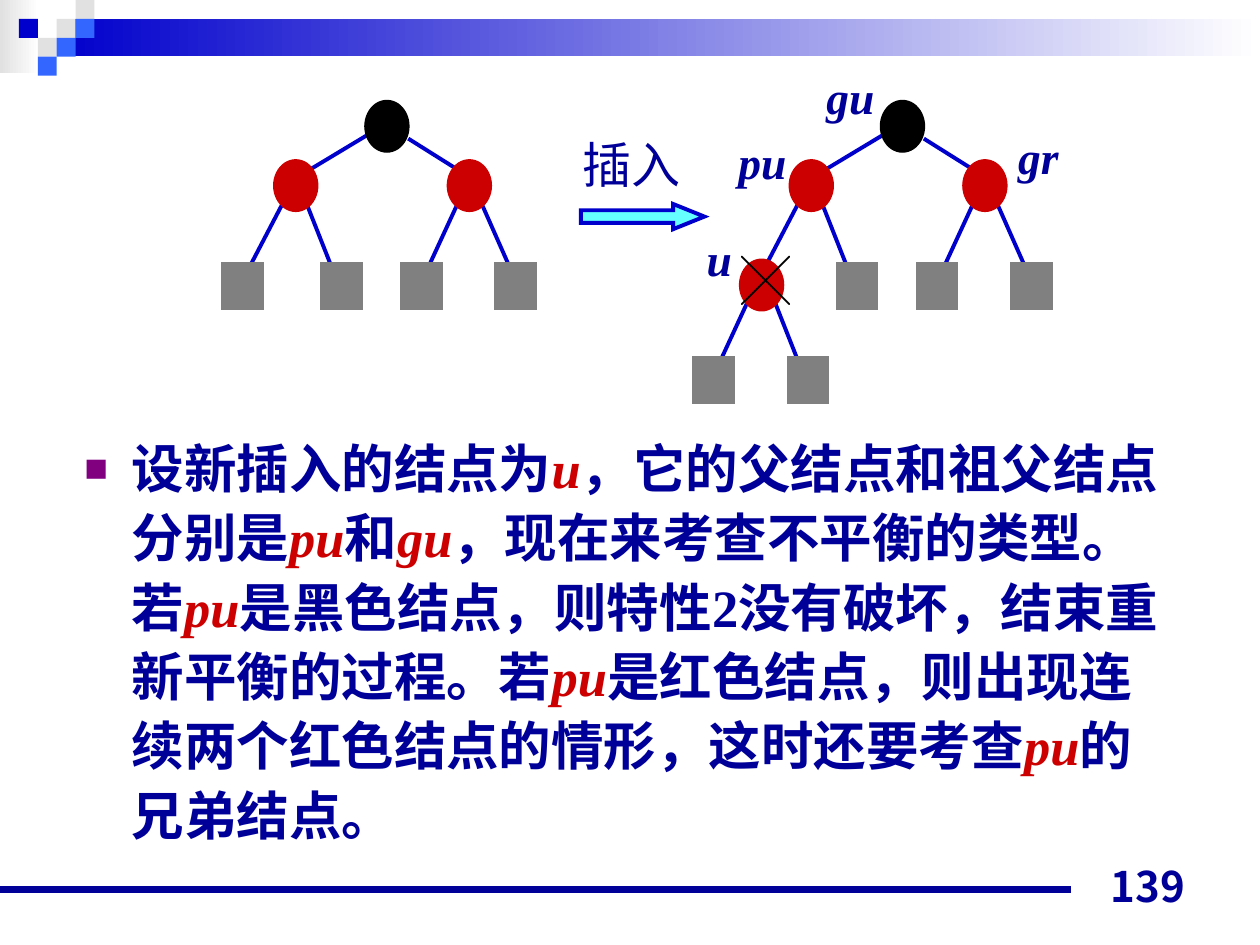
from dataclasses import dataclass
from itertools import cycle

from lxml.etree import SubElement
from pptx import Presentation
from pptx.dml.color import RGBColor
from pptx.enum.shapes import MSO_CONNECTOR, MSO_SHAPE
from pptx.enum.text import MSO_ANCHOR, MSO_AUTO_SIZE, PP_ALIGN
from pptx.oxml.ns import qn
from pptx.util import Pt


@dataclass(frozen=True)
class Theme:
    navy: str = "000099"
    blue: str = "0000CC"
    light_blue: str = "3366FF"
    pale: str = "E1E1E1"
    white: str = "FFFFFF"
    black: str = "000000"
    red: str = "CC0000"
    gray: str = "808080"
    cyan: str = "66FFFF"
    purple: str = "800080"
    serif: str = "Times New Roman"
    sans: str = "Arial"
    cjk: str = "Noto Sans CJK SC"
    number_font: str = "Noto Sans CJK JP"
    body_size: float = 30
    symbol_size: float = 28
    label_size: float = 26
    number_size: float = 24
    edge_width: float = 2.25


@dataclass(frozen=True)
class Node:
    left: float
    top: float
    color: str


@dataclass(frozen=True)
class Leaf:
    left: float
    top: float


@dataclass(frozen=True)
class Edge:
    x1: float
    y1: float
    x2: float
    y2: float


@dataclass(frozen=True)
class Label:
    text: str
    left: float
    top: float
    width: float
    height: float = 39


THEME = Theme()
TREE_SHIFT = 294.6
SQUARE = 10.8
NODE_SIZE = (25.2, 29.5)
LEAF_SIZE = (22.2, 25.2)

TREE_EDGES = [
    Edge(167, 105.8, 141.8, 154.1), Edge(169.9, 103, 190.1, 154.1),
    Edge(266.4, 105.8, 244.1, 154.1), Edge(269.3, 103, 292.3, 155),
    Edge(210.2, 77, 167, 103), Edge(233.3, 79.2, 266.4, 100),
]
TREE_NODES = [
    Node(208.5, 57.4, THEME.black),
    Node(156.4, 91.3, THEME.red), Node(255.6, 91.3, THEME.red),
]
TREE_LEAVES = [Leaf(left, 151) for left in (127.4, 184.1, 229.7, 283.7)]
INSERTED_EDGES = [Edge(433.4, 159.1, 411.1, 207.4), Edge(436.3, 156.2, 456.5, 207.4)]
INSERTED_NODES = [Node(422.6, 148.1, THEME.red)]
INSERTED_LEAVES = [Leaf(396.7, 204.7), Leaf(450.7, 204.7)]
NODE_LABELS = [
    Label("pu", 414.7, 72.9, 41.8), Label("gu", 465.1, 36, 41.8),
    Label("u", 396.7, 128.2, 28.8), Label("gr", 574.6, 70, 37.4),
]
# Node names stand between bars.
BODY_TEXT = (
    "设新插入的结点为|u|，它的父结点和祖父结点分别是|pu|和|gu|，现在来考查不平衡的类型。"
    "若|pu|是黑色结点，则特性2没有破坏，结束重新平衡的过程。若|pu|是红色结点，"
    "则出现连续两个红色结点的情形，这时还要考查|pu|的兄弟结点。"
)


def rgb(color: str) -> RGBColor:
    return RGBColor.from_string(color)


def add_box(slide, kind, left: float, top: float, width: float, height: float,
            fill: str, line: str | None = None, line_width: float = 0.75):
    shape = slide.shapes.add_shape(kind, Pt(left), Pt(top), Pt(width), Pt(height))
    shape.shadow.inherit = False
    shape.fill.solid()
    shape.fill.fore_color.rgb = rgb(fill)
    if line:
        shape.line.color.rgb = rgb(line)
        shape.line.width = Pt(line_width)
        SubElement(shape.line._get_or_add_ln(), qn("a:miter"), lim="800000")
    else:
        shape.line.fill.background()
    return shape


def add_fade(slide, left: float, top: float, width: float, height: float, color: str) -> None:
    """Rectangle fading from the colour on the left to white on the right."""
    shape = add_box(slide, MSO_SHAPE.RECTANGLE, left, top, width, height, color)
    shape.fill.gradient()
    shape.fill.gradient_angle = 0
    for stop, stop_color in zip(shape.fill.gradient_stops, (color, THEME.white)):
        stop.color.rgb = rgb(stop_color)


def add_edge(slide, edge: Edge, color: str = THEME.blue, width: float = THEME.edge_width) -> None:
    connector = slide.shapes.add_connector(
        MSO_CONNECTOR.STRAIGHT, Pt(edge.x1), Pt(edge.y1), Pt(edge.x2), Pt(edge.y2))
    connector.line.color.rgb = rgb(color)
    connector.line.width = Pt(width)
    SubElement(connector._element.spPr, qn("a:effectLst"))


def add_run(paragraph, text: str, *, size: float, font: str, color: str = THEME.navy,
            bold: bool = False, italic: bool = False, east_asian: str = THEME.cjk) -> None:
    run = paragraph.add_run()
    run.text = text
    run.font.size = Pt(size)
    run.font.name = font
    run.font.bold = bold
    run.font.italic = italic
    run.font.color.rgb = rgb(color)
    SubElement(run.font._element, qn("a:ea"), typeface=east_asian)


def add_label(slide, label: Label, *, align=PP_ALIGN.CENTER, anchor=MSO_ANCHOR.TOP,
              wrap: bool = False, **run_format) -> None:
    text_box = slide.shapes.add_textbox(
        Pt(label.left), Pt(label.top), Pt(label.width), Pt(label.height))
    frame = text_box.text_frame
    frame.word_wrap = wrap
    frame.auto_size = MSO_AUTO_SIZE.NONE if wrap else MSO_AUTO_SIZE.SHAPE_TO_FIT_TEXT
    frame.vertical_anchor = anchor
    frame.paragraphs[0].alignment = align
    add_run(frame.paragraphs[0], label.text, **run_format)


def add_tree(slide, edges: list[Edge], nodes: list[Node], leaves: list[Leaf],
             shift: float = 0) -> None:
    for edge in edges:
        add_edge(slide, Edge(edge.x1 + shift, edge.y1, edge.x2 + shift, edge.y2))
    for leaf in leaves:
        add_box(slide, MSO_SHAPE.RECTANGLE, leaf.left + shift, leaf.top, *LEAF_SIZE,
                THEME.gray, THEME.gray, THEME.edge_width)
    for node in nodes:
        add_box(slide, MSO_SHAPE.OVAL, node.left + shift, node.top, *NODE_SIZE,
                node.color, node.color)


def add_banner(slide) -> None:
    add_fade(slide, 0, 0, 22.3, 41.8, THEME.pale)
    add_fade(slide, 32.4, 10.8, 687.6, 21.3, THEME.blue)
    squares = [
        (3, 1, THEME.pale), (4, 0, THEME.pale), (4, 1, THEME.light_blue),
        (2, 2, THEME.pale), (1, 1, THEME.blue), (3, 2, THEME.light_blue),
        (2, 3, THEME.light_blue),
    ]
    for column, row, color in squares:
        add_box(slide, MSO_SHAPE.RECTANGLE, column * SQUARE, row * SQUARE,
                SQUARE, SQUARE, color)


def fill_body(placeholder) -> None:
    placeholder.left, placeholder.top = Pt(41), Pt(242)
    placeholder.width, placeholder.height = Pt(636.5), Pt(252)
    frame = placeholder.text_frame
    frame.auto_size = MSO_AUTO_SIZE.NONE
    paragraph = frame.paragraphs[0]
    properties = paragraph._p.get_or_add_pPr()
    properties.set("marL", str(Pt(27)))
    properties.set("indent", str(-Pt(27)))
    bullet_color = SubElement(properties, qn("a:buClr"))
    SubElement(bullet_color, qn("a:srgbClr"), val=THEME.purple)
    SubElement(properties, qn("a:buSzPct"), val="75000")
    SubElement(properties, qn("a:buFont"), typeface=THEME.sans)
    SubElement(properties, qn("a:buChar"), char="■")
    paragraph.line_spacing = 1.1
    paragraph.space_before = Pt(0)
    for text, is_name in zip(BODY_TEXT.split("|"), cycle((False, True))):
        add_run(paragraph, text, size=THEME.body_size, font=THEME.serif, bold=True,
                italic=is_name, color=THEME.red if is_name else THEME.navy)


def main() -> None:
    presentation = Presentation()
    presentation.slide_width, presentation.slide_height = Pt(720), Pt(540)
    slide = presentation.slides.add_slide(presentation.slide_layouts[1])
    title = slide.shapes.title._element
    title.getparent().remove(title)
    fill_body(slide.placeholders[1])
    add_banner(slide)
    add_edge(slide, Edge(0, 508.3, 612, 508.3), THEME.navy, 4.5)

    add_tree(slide, TREE_EDGES, TREE_NODES, TREE_LEAVES)
    add_tree(slide, TREE_EDGES, TREE_NODES, TREE_LEAVES[1:], TREE_SHIFT)
    add_tree(slide, INSERTED_EDGES, INSERTED_NODES, INSERTED_LEAVES)

    arrow = add_box(slide, MSO_SHAPE.RIGHT_ARROW, 331.9, 116.6, 70.6, 14.4,
                    THEME.cyan, THEME.blue, THEME.edge_width)
    arrow.adjustments[1] = 1.24
    add_label(slide, Label("插入", 321, 73.4, 80, 41),
              size=THEME.symbol_size, font=THEME.sans)
    add_label(slide, Label("╳", 413.4, 139.7, 48, 41),
              size=THEME.symbol_size, font=THEME.cjk, color=THEME.black)
    for label in NODE_LABELS:
        add_label(slide, label, size=THEME.label_size, font=THEME.serif, bold=True, italic=True)
    add_label(slide, Label("139", 516.2, 488.2, 168, 36), align=PP_ALIGN.RIGHT,
              anchor=MSO_ANCHOR.BOTTOM, wrap=True, size=THEME.number_size,
              font=THEME.number_font, bold=True, east_asian=THEME.number_font)
    presentation.save("out.pptx")


if __name__ == "__main__":
    main()
